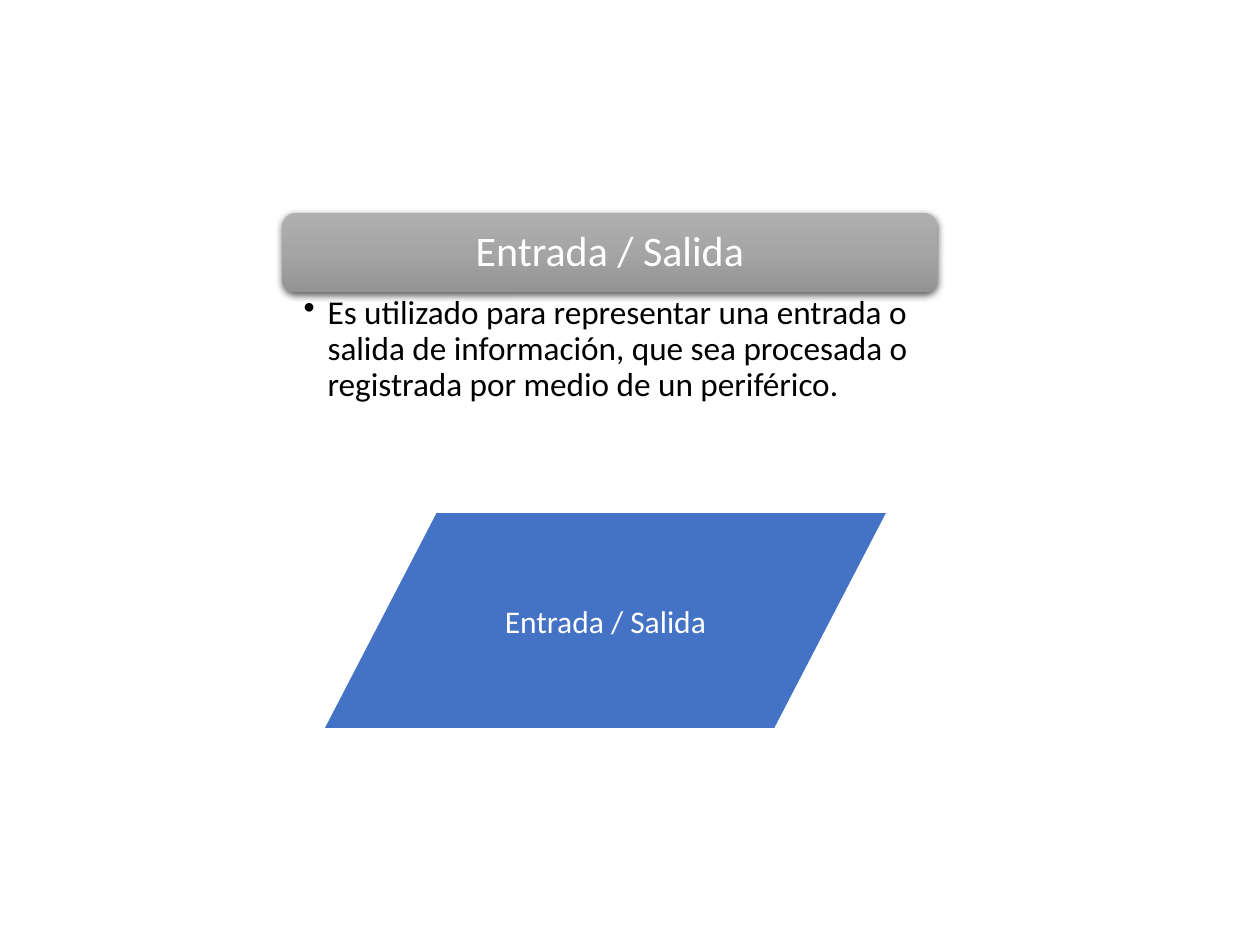
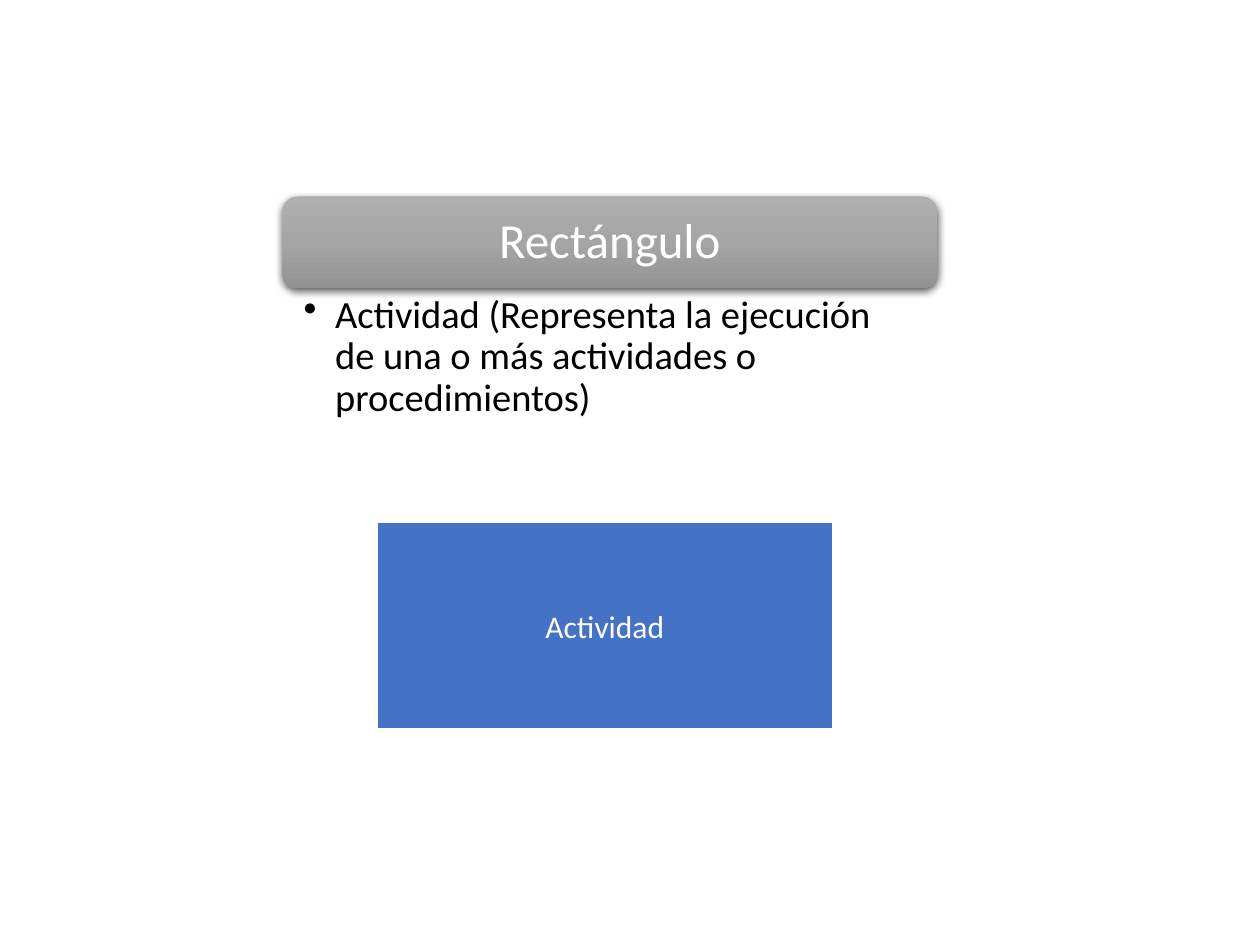
from copy import deepcopy

from pptx import Presentation
from pptx import util as u
from pptx.dml.color import RGBColor
from pptx.enum import shapes, text
from pptx.oxml import parse_xml
from pptx.oxml.ns import nsdecls, qn

COLORS = {
    "band_top": "AFAFAF",
    "band_middle": "A5A5A5",
    "band_bottom": "939393",
    "symbol": "4472C4",
    "light": "FFFFFF",
    "dark": "000000",
}
FONT = "Calibri"
BAND_LEFT, BAND_WIDTH = 2.24, 5.2
LINE_SPACING = 0.9


def color(name):
    return RGBColor.from_string(COLORS[name])


def write(frame, wording, size, color_name, align, anchor, margins=None):
    """Fill a text frame with one paragraph; margins are left, top, right, bottom."""
    frame.word_wrap = True
    frame.vertical_anchor = anchor
    if margins:
        (frame.margin_left, frame.margin_top,
         frame.margin_right, frame.margin_bottom) = map(u.Inches, margins)
    paragraph = frame.paragraphs[0]
    paragraph.text = wording
    paragraph.alignment = align
    paragraph.font.name = FONT
    paragraph.font.size = u.Pt(size)
    paragraph.font.color.rgb = color(color_name)
    return paragraph


def write_centred(frame, wording, size, margins=None):
    return write(frame, wording, size, "light", text.PP_ALIGN.CENTER,
                 text.MSO_ANCHOR.MIDDLE, margins)


def shade_band(band):
    """Give the band its three-stop grey gradient and its soft shadow below."""
    band.fill.gradient()
    band.fill.gradient_angle = 270
    properties = band.element.spPr
    stop_list = properties.find(qn("a:gradFill")).find(qn("a:gsLst"))
    stop_list.insert(1, deepcopy(stop_list[0]))
    names = ("band_top", "band_middle", "band_bottom")
    for index, (stop, name) in enumerate(zip(band.fill.gradient_stops, names)):
        stop.position = index / 2
        stop.color.rgb = color(name)

    band.shadow.inherit = False
    properties.find(qn("a:effectLst")).append(parse_xml(
        f'<a:outerShdw {nsdecls("a")} blurRad="{u.Pt(4.5)}" dist="{u.Pt(1.5)}" '
        f'dir="5400000" algn="ctr" rotWithShape="0">'
        f'<a:srgbClr val="{COLORS["dark"]}"><a:alpha val="63000"/></a:srgbClr>'
        f'</a:outerShdw>'))


def add_title_band(slide, title, top, height, size, margin):
    band = slide.shapes.add_shape(
        shapes.MSO_SHAPE.ROUNDED_RECTANGLE, u.Inches(BAND_LEFT), u.Inches(top),
        u.Inches(BAND_WIDTH), u.Inches(height))
    band.line.fill.background()
    shade_band(band)
    heading = write_centred(band.text_frame, title, size, [margin] * 4)
    heading.line_spacing = LINE_SPACING


def add_description(slide, wording, top, height, size, indent, margins):
    box = slide.shapes.add_textbox(
        u.Inches(BAND_LEFT), u.Inches(top), u.Inches(BAND_WIDTH), u.Inches(height))
    description = write(box.text_frame, wording, size, "dark", text.PP_ALIGN.LEFT,
                        text.MSO_ANCHOR.TOP, margins)
    description.level = 1
    description.line_spacing = LINE_SPACING
    properties = description._p.get_or_add_pPr()
    properties.set("marL", str(u.Inches(indent)))
    properties.set("indent", str(-u.Inches(indent)))
    bullet = parse_xml(f'<a:buChar {nsdecls("a")} char="•"/>')
    properties.insert_element_before(bullet, "a:tabLst", "a:defRPr", "a:extLst")


def add_symbol(slide, kind, label, left, top, width, height):
    symbol = slide.shapes.add_shape(
        kind, u.Inches(left), u.Inches(top), u.Inches(width), u.Inches(height))
    symbol.shadow.inherit = False
    symbol.fill.solid()
    symbol.fill.fore_color.rgb = color("symbol")
    symbol.line.color.rgb = color("light")
    symbol.line.width = u.Pt(1.5)
    write_centred(symbol.text_frame, label, 18)


def main():
    deck = Presentation()
    deck.slide_width, deck.slide_height = u.Inches(10), u.Inches(7.5)
    blank = deck.slide_layouts[6]

    input_output = deck.slides.add_slide(blank)
    add_title_band(input_output, "Entrada / Salida", 1.69, 0.63, 24, 0.1)
    add_description(
        input_output,
        "Es utilizado para representar una entrada o salida de información, "
        "que sea procesada o registrada por medio de un periférico.",
        2.32, 0.95, 19, 0.19, (0.17, 0.03, 0.19, 0.03))
    add_symbol(input_output, shapes.MSO_SHAPE.FLOWCHART_DATA, "Entrada / Salida",
               2.56, 4.06, 4.49, 1.73)

    activity = deck.slides.add_slide(blank)
    add_title_band(activity, "Rectángulo", 1.56, 0.73, 28, 0.12)
    add_description(
        activity,
        "Actividad (Representa la ejecución de una o más actividades "
        "o procedimientos)",
        2.3, 1.11, 22, 0.25, (0.17, 0.04, 0.22, 0.04))
    add_symbol(activity, shapes.MSO_SHAPE.RECTANGLE, "Actividad",
               2.99, 4.14, 3.62, 1.65)

    deck.save("out.pptx")


if __name__ == "__main__":
    main()
